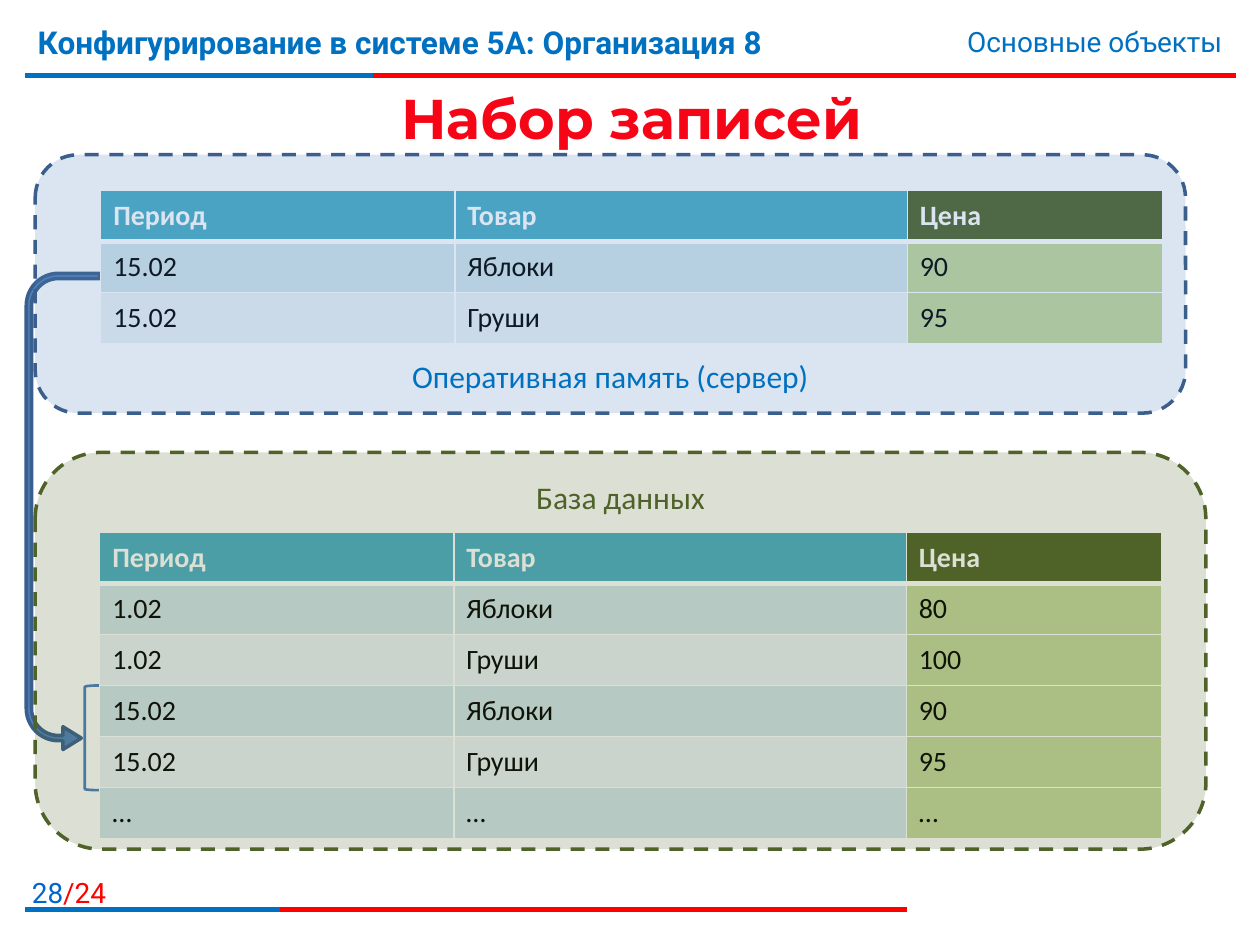
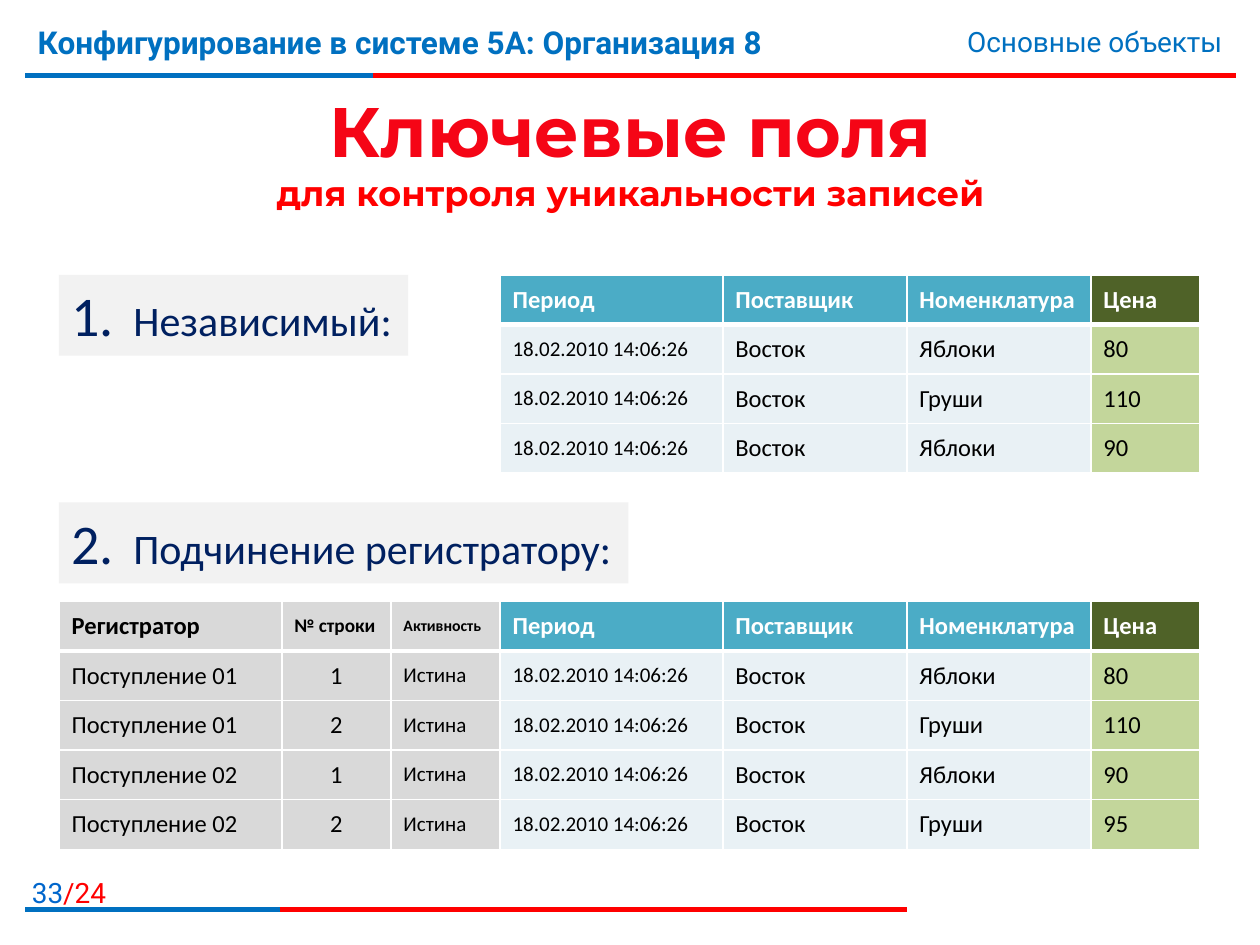
import collections

import lxml.etree
import pptx
import pptx.dml.color
import pptx.enum.dml
import pptx.enum.shapes
import pptx.enum.text
import pptx.oxml
import pptx.oxml.ns
import pptx.util

Cm, Pt = pptx.util.Cm, pptx.util.Pt
SHAPE = pptx.enum.shapes.MSO_SHAPE
ALIGN = pptx.enum.text.PP_ALIGN
ANCHOR = pptx.enum.text.MSO_ANCHOR
qn = pptx.oxml.ns.qn

COLORS = {
    "blue": "0070C0", "red": "FF0000", "page": "0066CC", "white": "FFFFFF",
    "black": "000000", "navy": "002060", "label": "F2F2F2",
    "title_top": "F50516", "title_bottom": "C00000",
    "arrow": "4F81BD", "arrow_line": "3A5F8C", "bracket": "4B7EBC",
    "olive": "4F6228", "teal": "4BACC6", "green": "C3D69B", "grey": "D9D9D9",
    "band_dark": "D0E3EA", "band_light": "E9F1F5",
}
FORMATS = {
    "course": {"name": "Roboto", "size": Pt(18), "bold": True},
    "small": {"name": "Roboto", "size": Pt(16)},
    "title": {"name": "Montserrat", "bold": True},
    "body": {"name": "Calibri"},
}

# Boxes are in centimetres: left, top, width, height
Box = collections.namedtuple("Box", "left top width height")
Column = collections.namedtuple(
    "Column", "heading width role heading_size size align", defaults=(ALIGN.LEFT,))


def rgb(color):
    return pptx.dml.color.RGBColor.from_string(COLORS[color])


def lengths(box):
    return [Cm(value) for value in box]


def add_run(paragraph, text, style, color=None, **extra):
    run = paragraph.add_run()
    run.text = text
    for attribute, value in {**FORMATS[style], **extra}.items():
        setattr(run.font, attribute, value)
    if color:
        run.font.color.rgb = rgb(color)
    return run


def add_text(slide, box, align, anchor=ANCHOR.TOP):
    frame = slide.shapes.add_textbox(*lengths(box)).text_frame
    frame.word_wrap = True
    frame.vertical_anchor = anchor
    frame.paragraphs[0].alignment = align
    return frame.paragraphs[0]


def add_figure(slide, preset, box, fill=None, line=None, width=2):
    figure = slide.shapes.add_shape(preset, *lengths(box))
    figure.shadow.inherit = False
    if fill:
        figure.fill.solid()
        figure.fill.fore_color.rgb = rgb(fill)
    else:
        figure.fill.background()
    if line:
        figure.line.color.rgb = rgb(line)
        figure.line.width = Pt(width)
    else:
        figure.line.fill.background()
    return figure


# Shared header, footer and title
def add_rule(slide, left, y, blue_end, red_end):
    for end, color in ((red_end, "red"), (blue_end, "blue")):
        rule = slide.shapes.add_connector(
            pptx.enum.shapes.MSO_CONNECTOR.STRAIGHT, Cm(left), Cm(y), Cm(end), Cm(y))
        rule.line.color.rgb = rgb(color)
        rule.line.width = Pt(3)
        lxml.etree.SubElement(rule._element.spPr, qn("a:effectLst"))


def add_frame(slide, page):
    add_rule(slide, 0.51, 1.52, 7.52, 24.92)
    number = add_text(slide, Box(-0.25, 17.53, 2.64, 0.81), ALIGN.RIGHT)
    add_run(number, page, "small", "page")
    add_run(number, "/24", "small", "red")
    add_rule(slide, 0.51, 18.34, 5.64, 18.29)
    course = add_text(slide, Box(0.51, 0.33, 18.8, 1.57), ALIGN.LEFT)
    add_run(course, "Конфигурирование в системе 5А: Организация 8", "course", "blue")
    section = add_text(slide, Box(15.09, 0.38, 9.8, 0.94), ALIGN.RIGHT)
    add_run(section, "Основные объекты", "small", "blue")


def add_title(slide, box, text, size, subtitle=None):
    title = add_text(slide, box, ALIGN.CENTER, ANCHOR.MIDDLE)
    heading = add_run(title, text, "title", size=Pt(size))
    fill = heading.font.fill
    fill.gradient()
    fill.gradient_angle = 270
    stops = ((0.55, "title_top"), (0.86, "title_bottom"))
    for stop, (position, color) in zip(fill.gradient_stops, stops):
        stop.position = position
        stop.color.rgb = rgb(color)
    outline = line_element("a:ln", 0.75)
    heading._r.get_or_add_rPr().insert(0, outline)
    if subtitle:
        title.add_line_break()
        add_run(title, subtitle, "title", "red", size=Pt(20))


# Register tables
def line_element(tag, width):
    return pptx.oxml.parse_xml(
        f'<{tag} {pptx.oxml.ns.nsdecls("a")} w="{Pt(width)}"><a:solidFill>'
        f'<a:srgbClr val="{COLORS["white"]}"/></a:solidFill></{tag}>')


def set_borders(cell, top, bottom):
    properties = cell._tc.get_or_add_tcPr()
    widths = {"a:lnL": 1, "a:lnR": 1, "a:lnT": top, "a:lnB": bottom}
    for index, (tag, width) in enumerate(widths.items()):
        properties.insert(index, line_element(tag, width))


def cell_colors(role, row, banded):
    """Fill and text colour of a cell, by the role of its column."""
    if role == "service":
        return "grey", "black"
    if row == 0:
        return ("olive" if role == "resource" else "teal"), "white"
    if role == "resource":
        return "green", "black"
    return ("band_dark" if banded and row % 2 else "band_light"), "black"


def add_register(slide, left, top, columns, records, row_height, banded=False):
    rows = [[column.heading for column in columns], *records]
    box = Box(left, top, sum(c.width for c in columns), row_height * len(rows))
    register = slide.shapes.add_table(len(rows), len(columns), *lengths(box)).table
    for row in register.rows:
        row.height = Cm(row_height)
    for x, column in enumerate(columns):
        register.columns[x].width = Cm(column.width)
        for y, values in enumerate(rows):
            cell = register.cell(y, x)
            fill, color = cell_colors(column.role, y, banded)
            cell.fill.solid()
            cell.fill.fore_color.rgb = rgb(fill)
            cell.vertical_anchor = ANCHOR.MIDDLE
            set_borders(cell, 3 if y == 1 else 1, 3 if y == 0 else 1)
            paragraph = cell.text_frame.paragraphs[0]
            paragraph.alignment = column.align if y else ALIGN.LEFT
            size = column.size if y else column.heading_size
            add_run(paragraph, values[x], "body", color, size=Pt(size), bold=y == 0)


# Record set slide
PRICE_COLUMNS = [
    Column("Период", 7.14, "dimension", 16, 16),
    Column("Товар", 9.12, "dimension", 16, 16),
    Column("Цена", 5.16, "resource", 16, 16),
]
NEW_PRICES = [("15.02", "Яблоки", "90"), ("15.02", "Груши", "95")]
STORED_PRICES = [("1.02", "Яблоки", "80"), ("1.02", "Груши", "100"),
                 *NEW_PRICES, ("…", "…", "…")]
PRICE_ROW = 1.03


def add_storage(slide, box, name, records, table_offset, fill, line, text, anchor):
    """A register under a translucent dashed panel."""
    dx, dy = table_offset
    add_register(slide, box.left + dx, box.top + dy, PRICE_COLUMNS, records,
                 PRICE_ROW, banded=True)
    panel = add_figure(slide, SHAPE.ROUNDED_RECTANGLE, box, fill, line)
    panel.line.dash_style = pptx.enum.dml.MSO_LINE.DASH
    tint = panel._element.spPr.find(qn("a:solidFill"))[0]
    lxml.etree.SubElement(tint, qn("a:alpha"), val="20000")
    panel.text_frame.vertical_anchor = anchor
    caption = panel.text_frame.paragraphs[0]
    caption.alignment = ALIGN.CENTER
    add_run(caption, name, "body", text, size=Pt(18))


def add_write_arrow(slide, box):
    """U-turn arrow along the left side; the box is the area after rotation."""
    lying = Box(box.left + (box.width - box.height) / 2,
                box.top + (box.height - box.width) / 2, box.height, box.width)
    arrow = add_figure(slide, SHAPE.U_TURN_ARROW, lying, "arrow", "arrow_line")
    for index, value in enumerate((0.072, 0.155, 0.25, 0.438, 0.75)):
        arrow.adjustments[index] = value
    arrow.rotation = 90
    arrow._element.spPr.find(qn("a:xfrm")).set("flipV", "1")


def build_record_set(slide):
    add_frame(slide, "28")
    add_title(slide, Box(0.53, 1.6, 24.41, 1.52), "Набор записей", 32)
    memory = Box(0.71, 3.12, 23.19, 5.21)
    database = Box(0.71, 9.12, 23.6, 8)
    table_dx, table_dy = 1.3, 1.61
    # Bracket around the written rows, which follow the heading and two old rows
    add_figure(slide, SHAPE.LEFT_BRACKET,
               Box(database.left + table_dx - 0.3,
                   database.top + table_dy + 3 * PRICE_ROW, 0.3, 2 * PRICE_ROW + 0.05),
               line="bracket", width=1.5)
    add_write_arrow(slide, Box(0.53, 5.51, 1.48, 9.6))
    add_storage(slide, memory, "Оперативная память (сервер)", NEW_PRICES,
                (1.32, 0.72), "arrow", "arrow_line", "blue", ANCHOR.BOTTOM)
    add_storage(slide, database, "База данных", STORED_PRICES,
                (table_dx, table_dy), "olive", "olive", "olive", ANCHOR.TOP)


# Key fields slide
KEY_COLUMNS = [
    Column("Период", 4.49, "dimension", 14, 12),
    Column("Поставщик", 3.71, "dimension", 14, 14),
    Column("Номенклатура", 3.71, "dimension", 14, 14),
    Column("Цена", 2.2, "resource", 14, 14),
]
SERVICE_COLUMNS = [
    Column("Регистратор", 4.49, "service", 14, 14),
    Column("№ строки", 2.2, "service", 11, 14, ALIGN.CENTER),
    Column("Активность", 2.2, "service", 9, 12),
]


def supply(product, price):
    return ("18.02.2010 14:06:26", "Восток", product, price)


INDEPENDENT = [supply("Яблоки", "80"), supply("Груши", "110"), supply("Яблоки", "90")]
SUBORDINATE = [
    (f"Поступление 0{1 + index // 2}", str(1 + index % 2), "Истина", *record)
    for index, record in enumerate([*INDEPENDENT, supply("Груши", "95")])
]


def add_mode(slide, box, number, name):
    mode = add_figure(slide, SHAPE.RECTANGLE, box, "label")
    mode.text_frame.word_wrap = True
    mode.text_frame.vertical_anchor = ANCHOR.TOP
    paragraph = mode.text_frame.paragraphs[0]
    paragraph.alignment = ALIGN.LEFT
    tabs = lxml.etree.SubElement(paragraph._p.get_or_add_pPr(), qn("a:tabLst"))
    lxml.etree.SubElement(tabs, qn("a:tab"), pos=str(Cm(1.25)), algn="l")
    add_run(paragraph, number, "body", "navy", size=Pt(32))
    add_run(paragraph, "\t" + name, "body", "navy", size=Pt(24))


def build_key_fields(slide):
    add_frame(slide, "33")
    add_title(slide, Box(0.51, 1.55, 24.41, 2.97), "Ключевые поля", 40,
              "для контроля уникальности записей")
    left, top = 1.19, 5.54
    add_mode(slide, Box(left, top, 7.04, 1.63), "1.", "Независимый:")
    add_mode(slide, Box(left, 10.13, 11.48, 1.63), "2.", "Подчинение регистратору:")
    add_register(slide, left, 12.12, SERVICE_COLUMNS + KEY_COLUMNS, SUBORDINATE, 1)
    key_left = left + sum(column.width for column in SERVICE_COLUMNS)
    add_register(slide, key_left, top, KEY_COLUMNS, INDEPENDENT, 1)


def main():
    deck = pptx.Presentation()
    deck.slide_width, deck.slide_height = Cm(25.4), Cm(19.05)
    for build in (build_record_set, build_key_fields):
        build(deck.slides.add_slide(deck.slide_layouts[6]))
    deck.save("out.pptx")


if __name__ == "__main__":
    main()
